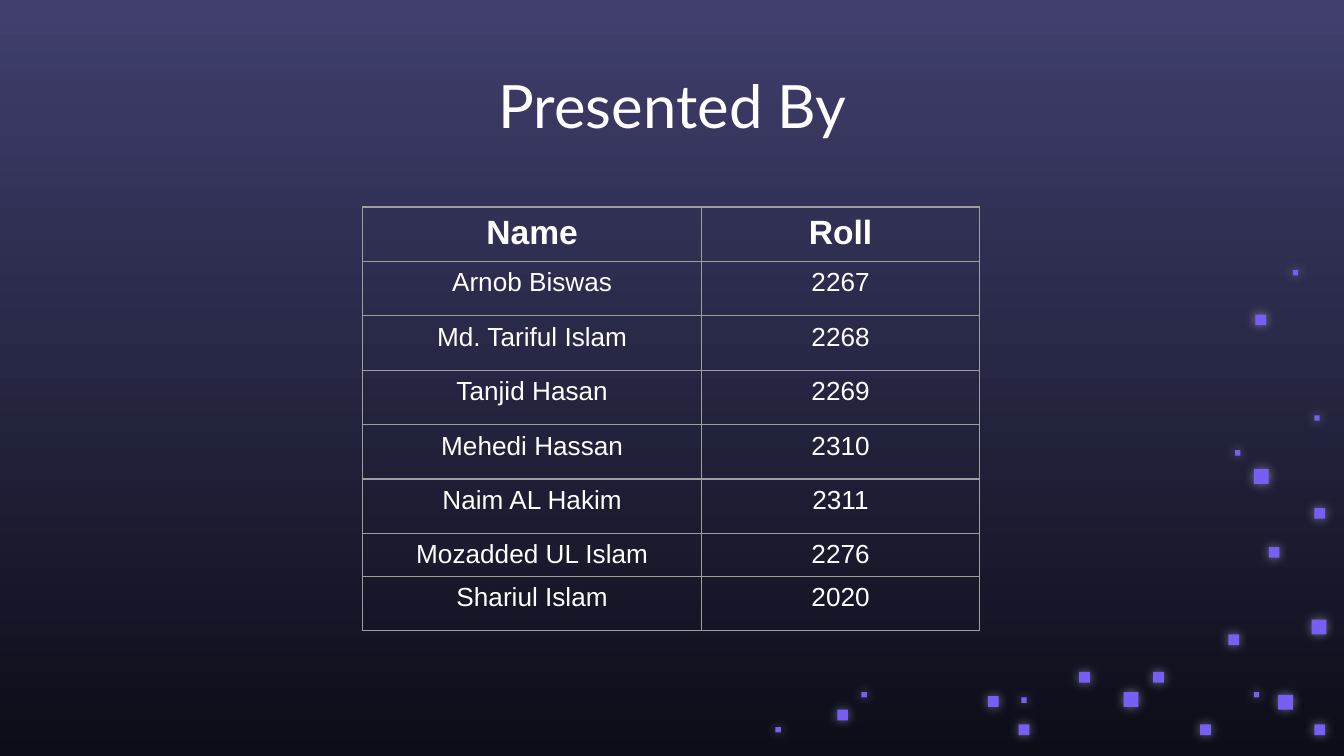
"""Build a slide that lists the presenters and their roll numbers."""
import pptx
import pptx.util
import pptx.oxml
import pptx.dml.color
import pptx.enum.shapes
import pptx.enum.text
from pptx.util import Inches

HUES = {"top": "403F6E", "base": "0B0D17", "spark": "775EF5",
        "glow": "DFDEFF", "line": "9E9E9E", "text": "FFFFFF"}
WIDE = 10
TITLE = "Presented By"
ROWS = [
    ("Name", "Roll"),
    ("Arnob Biswas", "2267"),
    ("Md. Tariful Islam", "2268"),
    ("Tanjid Hasan", "2269"),
    ("Mehedi Hassan", "2310"),
    ("Naim AL Hakim", "2311"),
    ("Mozadded UL Islam", "2276"),
    ("Shariul Islam", "2020"),
]
WIDTHS = [2.52, 2.07]
TALL, SHORT, TIGHT = 0.81 / 2, 0.15, 6
SPARKS = {
    0.11: [(8.36, 5.15), (9.51, 5.17), (9.33, 3.49), (9.76, 4.61)],
    0.08: [(8.58, 5), (8.93, 5.39), (9.14, 4.72), (9.44, 4.07), (9.78, 5.39),
           (7.58, 5.39), (9.78, 3.78), (7.35, 5.18), (8.03, 5), (6.23, 5.28),
           (9.34, 2.34)],
    0.04: [(9.78, 3.09), (6.41, 5.15), (7.6, 5.19), (9.33, 5.15),
           (9.19, 3.35), (9.62, 2.01), (5.77, 5.41)],
}
NS = 'xmlns:a="http://schemas.openxmlformats.org/drawingml/2006/main"'
GLOW = (f'<a:outerShdw {NS} blurRad="{pptx.util.Pt(5.6)}" dist="0" dir="0" '
        f'algn="ctr" rotWithShape="0"><a:srgbClr val="{HUES["glow"]}">'
        '<a:alpha val="50000"/></a:srgbClr></a:outerShdw>')


def rgb(name):
    return pptx.dml.color.RGBColor.from_string(HUES[name])


def write(frame, text, size=14, face="Arial", bold=False):
    frame.text = text
    para = frame.paragraphs[0]
    para.alignment = pptx.enum.text.PP_ALIGN.CENTER
    font = para.runs[0].font
    font.size, font.name, font.bold = pptx.util.Pt(size), face, bold
    font.color.rgb = rgb("text")


def paint(slide):
    fill = slide.background.fill
    fill.gradient()
    fill.gradient_angle = 270
    for stop, name, spot in zip(fill.gradient_stops, ("top", "base"), (0, 1)):
        stop.color.rgb, stop.position = rgb(name), spot


def spark(slide, left, top, side):
    kind = pptx.enum.shapes.MSO_SHAPE.RECTANGLE
    box = slide.shapes.add_shape(kind, *map(Inches, (left, top, side, side)))
    box.fill.solid()
    box.fill.fore_color.rgb = rgb("spark")
    box.line.fill.background()
    box.shadow.inherit = False
    box._element.spPr.find(pptx.oxml.ns.qn("a:effectLst")).append(
        pptx.oxml.parse_xml(GLOW))


def head(slide):
    box = slide.shapes.title
    box.left, box.top, box.width, box.height = map(
        Inches, (0.79, 0.41, 8.43, 0.63))
    frame = box.text_frame
    frame.margin_left = frame.margin_right = Inches(0.1)
    frame.margin_top = frame.margin_bottom = Inches(0.1)
    frame.vertical_anchor = pptx.enum.text.MSO_ANCHOR.TOP
    frame.auto_size = pptx.enum.text.MSO_AUTO_SIZE.NONE
    write(frame, TITLE, size=32, face="Lato")


def edge(cell):
    props = cell._tc.get_or_add_tcPr()
    for side in "LRTB":
        props.append(pptx.oxml.parse_xml(
            f'<a:ln{side} {NS} w="{pptx.util.Pt(0.75)}"><a:solidFill>'
            f'<a:srgbClr val="{HUES["line"]}"/></a:solidFill></a:ln{side}>'))


def roster(slide):
    highs = [SHORT if row == TIGHT else TALL for row in range(len(ROWS))]
    size = map(Inches, (2.7, 1.54, sum(WIDTHS), sum(highs)))
    grid = slide.shapes.add_table(len(ROWS), len(WIDTHS), *size).table
    grid.first_row = grid.horz_banding = False
    for col, width in zip(grid.columns, WIDTHS):
        col.width = Inches(width)
    for num, (row, high) in enumerate(zip(grid.rows, highs)):
        row.height = Inches(high)
        for cell, text in zip(row.cells, ROWS[num]):
            edge(cell)
            cell.fill.background()
            write(cell.text_frame, text, size=14 if num else 18, bold=not num)


def main():
    deck = pptx.Presentation()
    deck.slide_width, deck.slide_height = Inches(WIDE), Inches(WIDE * 9 / 16)
    slide = deck.slides.add_slide(deck.slide_layouts[5])
    paint(slide)
    for side, spots in SPARKS.items():
        for left, top in spots:
            spark(slide, left, top, side)
    head(slide)
    roster(slide)
    deck.save("out.pptx")


if __name__ == "__main__":
    main()
